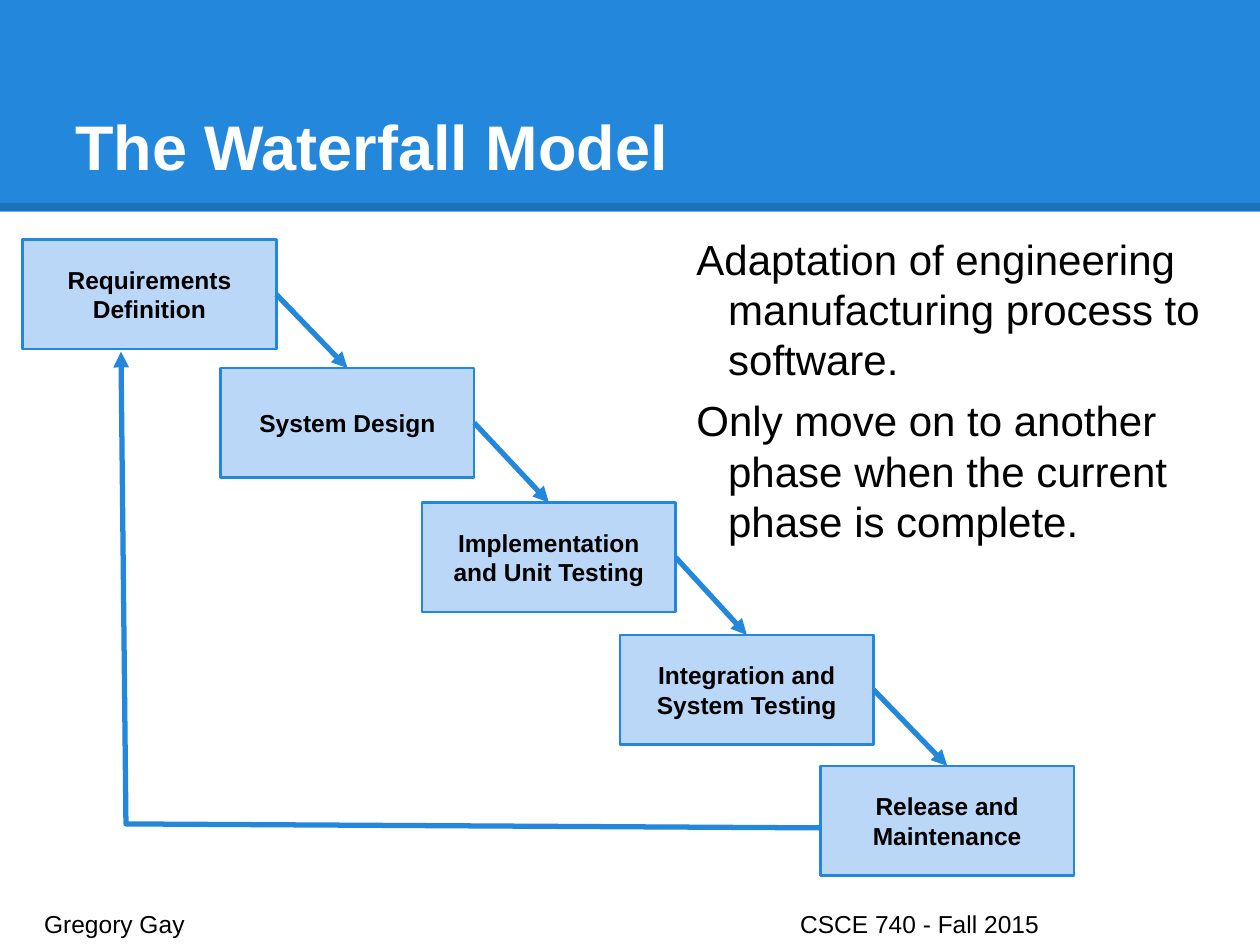
from dataclasses import dataclass
from itertools import pairwise

from lxml import etree
from pptx import Presentation
from pptx import util as u
from pptx.dml.color import RGBColor
from pptx.enum import shapes, text
from pptx.oxml import ns

Cm = u.Cm


@dataclass(frozen=True)
class Theme:
    font: str = "Arial"
    blue: str = "2388DB"
    pale: str = "BBD7F8"
    black: str = "000000"
    white: str = "FFFFFF"
    title: int = 36
    body: int = 24
    small: int = 14


THEME = Theme()
INSET = Cm(0.25)
PHASE_SIZE = (Cm(5.11), Cm(2.21))
PHASES = [
    ("Requirements Definition", 0.46, 4.83),
    ("System Design", 4.45, 7.42),
    ("Implementation and Unit Testing", 8.51, 10.13),
    ("Integration and System Testing", 12.5, 12.8),
    ("Release and Maintenance", 16.54, 15.44),
]
RIGHT_SITE, TOP_SITE = 3, 0


def color(value):
    return RGBColor.from_string(value)


def add_element(parent, tag, **attributes):
    return etree.SubElement(parent, ns.qn(tag), attributes)


def write(shape, lines, size, ink=THEME.black, bold=False,
          anchor=text.MSO_ANCHOR.TOP, align=text.PP_ALIGN.LEFT):
    frame = shape.text_frame
    frame.word_wrap = True
    frame.vertical_anchor = anchor
    frame.margin_left = frame.margin_right = INSET
    frame.margin_top = frame.margin_bottom = INSET
    frame.text = "\n".join(lines)
    for para in frame.paragraphs:
        para.alignment = align
        for span in para.runs:
            span.font.name = THEME.font
            span.font.size = u.Pt(size)
            span.font.bold = bold
            span.font.color.rgb = color(ink)
    return frame.paragraphs


def add_text(page, place, lines, size, **style):
    box = page.shapes.add_textbox(*map(Cm, place))
    return write(box, lines, size, **style)


def style_line(shape, width, ink=THEME.blue, arrow=False):
    shape.line.color.rgb = color(ink)
    shape.line.width = u.Pt(width)
    if arrow:
        add_element(shape.line._get_or_add_ln(), "a:tailEnd", type="triangle")


def add_connector(page, start, end):
    line = page.shapes.add_connector(
        shapes.MSO_CONNECTOR.STRAIGHT, *map(Cm, start + end))
    return line


def remove_shadow(connector):
    add_element(connector._element.spPr, "a:effectLst")


def add_header(page, width):
    band = page.shapes.add_shape(
        shapes.MSO_SHAPE.RECTANGLE, 0, 0, width, Cm(4.27))
    band.shadow.inherit = False
    band.fill.solid()
    band.fill.fore_color.rgb = color(THEME.blue)
    band.line.fill.background()

    rule = add_connector(page, (0, 4.17), (25.4, 4.17))
    style_line(rule, 4.5, THEME.black)
    ink = rule.line._get_or_add_ln().find(".//" + ns.qn("a:srgbClr"))
    add_element(ink, "a:alpha", val="15000")
    remove_shadow(rule)

    add_text(page, (1.27, 0.76, 22.86, 3.18), ["The Waterfall Model"],
             THEME.title, ink=THEME.white, bold=True,
             anchor=text.MSO_ANCHOR.BOTTOM)


def add_phase(page, label, left, top):
    box = page.shapes.add_shape(
        shapes.MSO_SHAPE.RECTANGLE, Cm(left), Cm(top), *PHASE_SIZE)
    box.shadow.inherit = False
    box.fill.solid()
    box.fill.fore_color.rgb = color(THEME.pale)
    style_line(box, 1.5)
    write(box, [label], THEME.small, bold=True,
          anchor=text.MSO_ANCHOR.MIDDLE, align=text.PP_ALIGN.CENTER)
    return box


def add_step(page, before, after):
    arrow = add_connector(page, (0, 0), (1, 1))
    arrow.begin_connect(before, RIGHT_SITE)
    arrow.end_connect(after, TOP_SITE)
    style_line(arrow, 3, arrow=True)
    remove_shadow(arrow)


def add_feedback(page):
    builder = page.shapes.build_freeform(Cm(16.54), Cm(16.69))
    corners = [(2.54, 16.61), (2.44, 7.09)]
    builder.add_line_segments(
        [(Cm(x), Cm(y)) for x, y in corners], close=False)
    loop = builder.convert_to_shape()
    loop.shadow.inherit = False
    loop.fill.background()
    style_line(loop, 3, arrow=True)


def add_notes_column(page):
    paras = add_text(page, (13.16, 4.45, 11.84, 13.79), [
        "Adaptation of engineering manufacturing process to software.",
        "Only move on to another phase when the current phase is complete.",
    ], THEME.body)
    for para in paras:
        layout = para._p.get_or_add_pPr()
        layout.set("marL", str(Cm(1.27)))
        layout.set("indent", str(-Cm(0.64)))
    for para in paras[1:]:
        para.space_before = u.Pt(6)


def add_footer(page):
    para = add_text(page, (0.64, 18.08, 24.16, 0.76),
                    ["Gregory Gay\tCSCE 740 - Fall 2015"], THEME.small)[0]
    tabs = add_element(para._p.get_or_add_pPr(), "a:tabLst")
    add_element(tabs, "a:tab", pos=str(Cm(15.24)), algn="l")


def main():
    deck = Presentation()
    deck.slide_width, deck.slide_height = Cm(25.4), Cm(19.05)
    page = deck.slides.add_slide(deck.slide_layouts[6])
    add_header(page, deck.slide_width)
    boxes = [add_phase(page, *phase) for phase in PHASES]
    add_notes_column(page)
    for before, after in pairwise(boxes):
        add_step(page, before, after)
    add_footer(page)
    add_feedback(page)
    deck.save("out.pptx")


if __name__ == "__main__":
    main()
